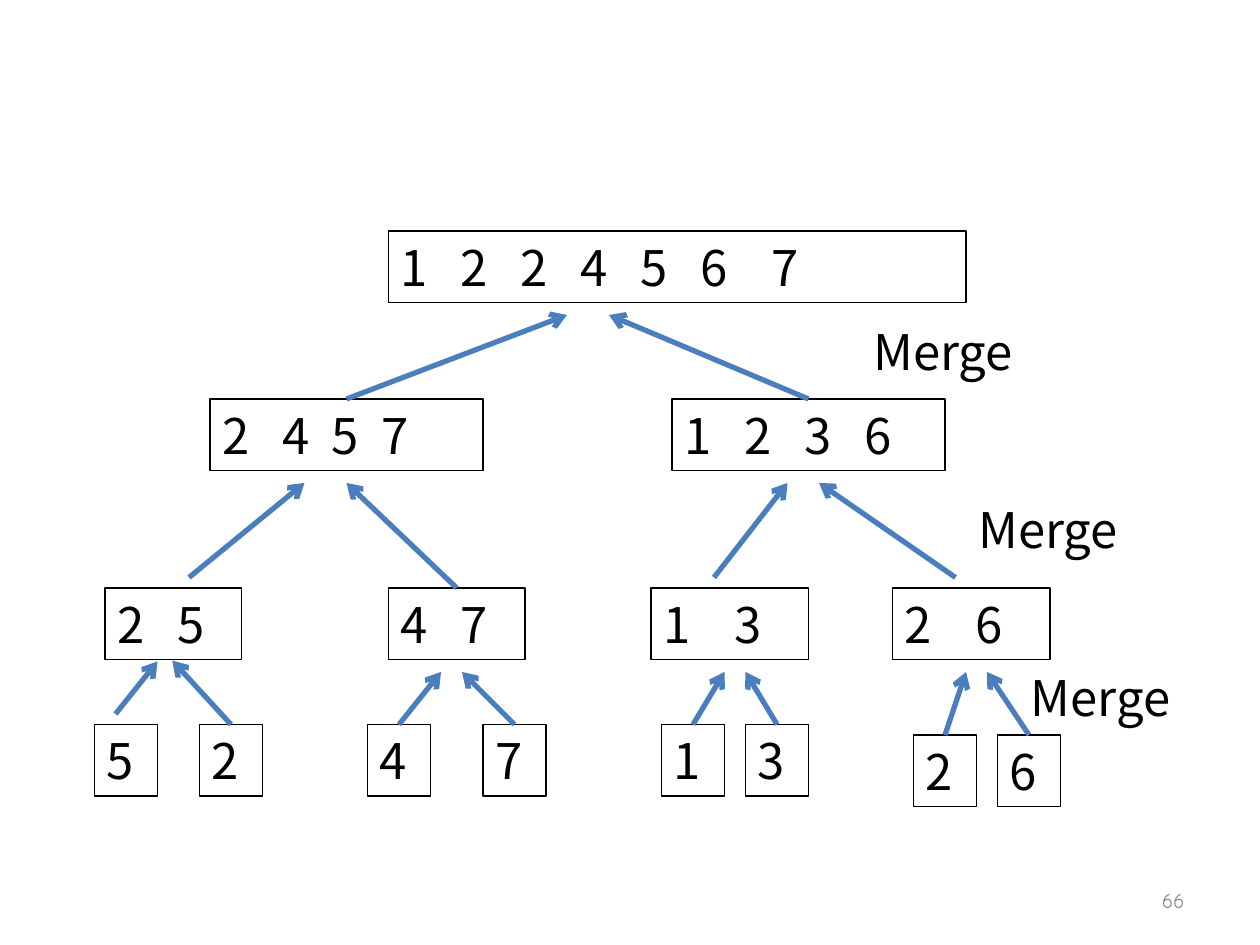
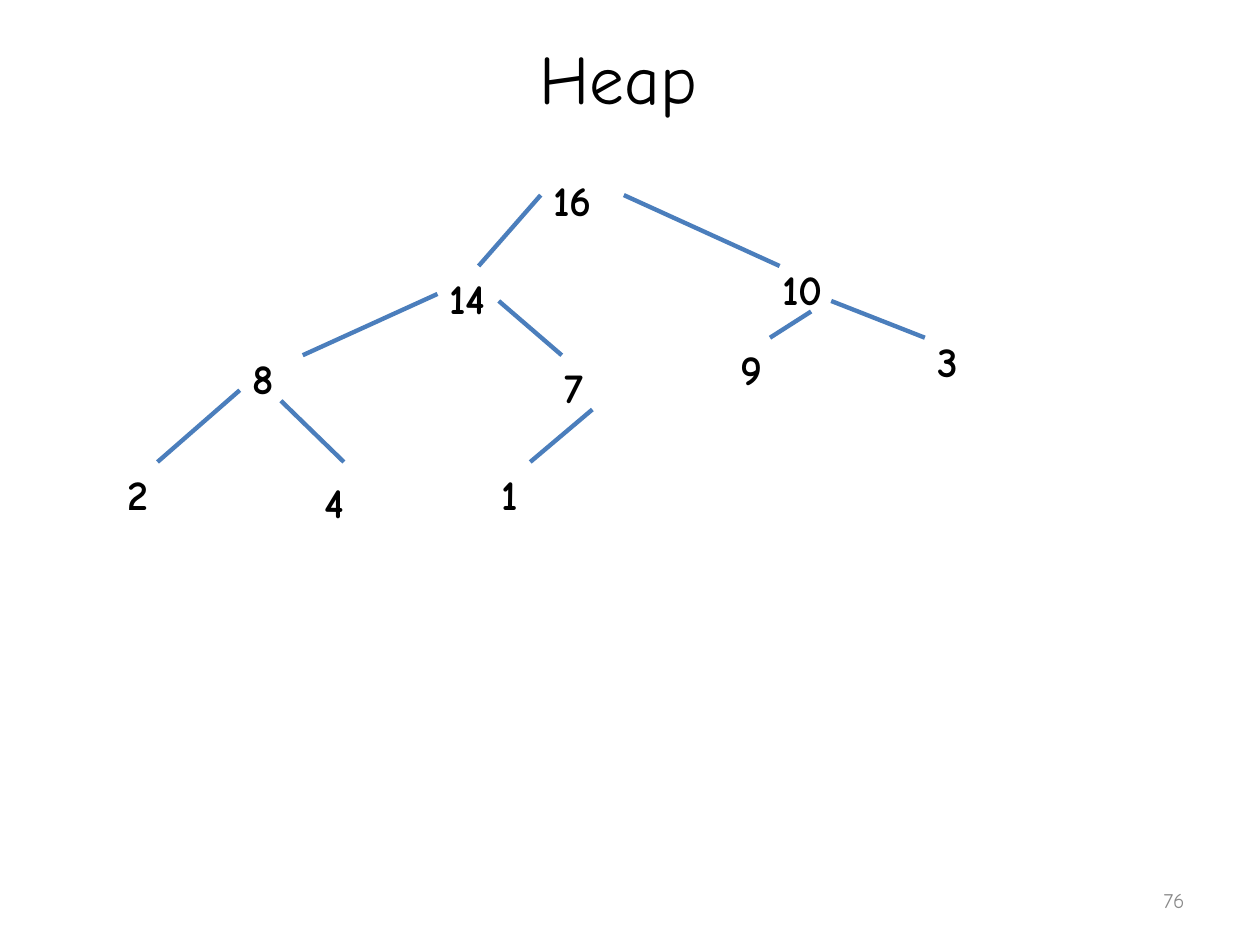
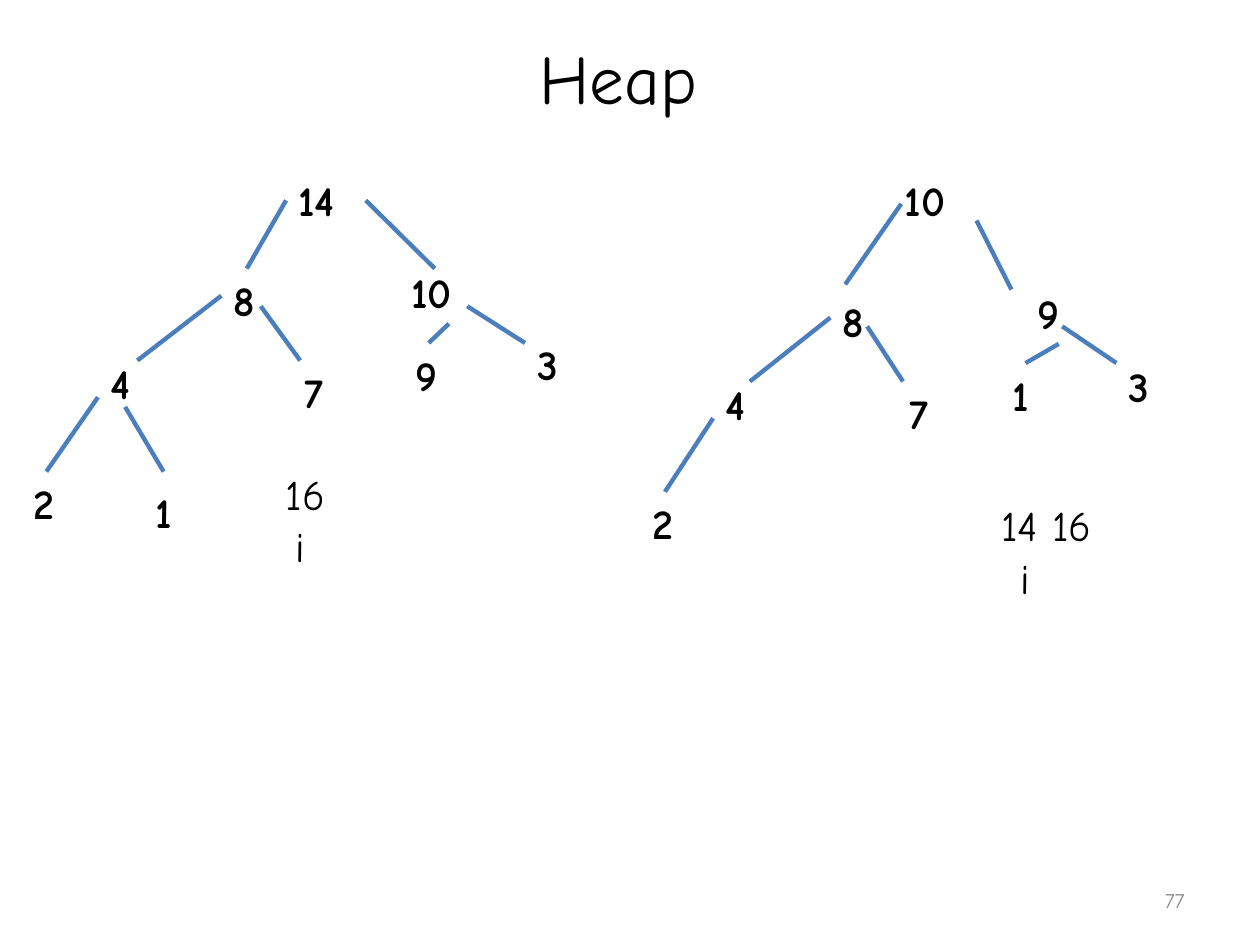
from itertools import accumulate

from lxml import etree
from pptx import Presentation
from pptx.dml.color import RGBColor
from pptx.enum.shapes import MSO_CONNECTOR, MSO_SHAPE
from pptx.enum.text import MSO_ANCHOR, PP_ALIGN
from pptx.oxml.ns import qn
from pptx.util import Pt

RECTANGLE, STRAIGHT = MSO_SHAPE.RECTANGLE, MSO_CONNECTOR.STRAIGHT
TOP, MIDDLE = MSO_ANCHOR.TOP, MSO_ANCHOR.MIDDLE
LEFT, CENTER, RIGHT = PP_ALIGN.LEFT, PP_ALIGN.CENTER, PP_ALIGN.RIGHT

BLACK = RGBColor(0x00, 0x00, 0x00)
GREY = RGBColor(0x89, 0x89, 0x89)
BLUE = RGBColor(0x4B, 0x7E, 0xBC)

COMIC, SANS = "Comic Neue", "Noto Sans CJK SC"
TITLE_FONT = {"name": COMIC, "size": Pt(39.6), "color": BLACK}
PAGE_FONT = {"name": COMIC, "size": Pt(12), "color": GREY}
MERGE_FONT = {"name": SANS, "size": Pt(28), "color": BLACK}
NODE_FONT = {"name": COMIC, "size": Pt(24), "color": BLACK, "bold": True}
LABEL_FONT = {"name": COMIC, "size": Pt(24), "color": BLACK}

TITLE_FRAME = (36, 21.5, 648, 44.5)
PAGE_FRAME = (516, 500, 168, 29)

# Merge tree: digits, left, top, width, arrow tip, arrow start if not top centre
LIST_HEIGHT = 41
SORTED_LISTS = [
    ("5", 54, 414, 36, (90, 378), (66, 408)),
    ("2", 114, 414, 36, (98.5, 377.5)),
    ("4", 210, 414, 36, (252, 384)),
    ("7", 276, 414, 36, (264, 384)),
    ("1", 378, 414, 36, (414, 384)),
    ("3", 426, 414, 36, (426, 384)),
    ("2", 522, 420, 36, (552, 384)),
    ("6", 570, 420, 36, (564, 384)),
    ("25", 60, 336, 78, (174, 276), (108, 330)),
    ("47", 222, 336, 78, (198, 276)),
    ("13", 372, 336, 90, (450, 276), (408, 330)),
    ("26", 510, 336, 90, (468, 276), (546, 330)),
    ("2457", 120, 228, 156, (324, 180)),
    ("1236", 384, 228, 156, (348, 180)),
    ("1224567", 222, 132, 330, None),
]
NORMAL_STEP, WIDE_STEP, NARROW_STEP = 34.3, 40.5, 28.2
DIGIT_STEPS = {
    "13": [WIDE_STEP],
    "26": [WIDE_STEP],
    "2457": [NORMAL_STEP, NARROW_STEP, NARROW_STEP],
    "1224567": [NORMAL_STEP] * 5 + [WIDE_STEP],
}
MERGE_LABELS = [(582, 378), (552, 282), (492, 180)]

# Heap nodes: value, left, top, link from parent (x1, y1, x2, y2), own size
FULL_HEAP = {
    "size": (47.5, 31),
    "nodes": [
        ("16", 309, 96, None),
        ("14", 250, 152, (309, 111.5, 273.5, 152)),
        ("10", 440, 147, (356.5, 111.5, 445.5, 152)),
        ("8", 137.5, 198, (250, 168, 173, 203)),
        ("7", 315.5, 203, (285, 172, 321, 203)),
        ("2", 66, 264, (137, 223, 90, 264)),
        ("4", 178.5, 269, (160.5, 229, 196.5, 264)),
        ("1", 279.5, 264, (338.5, 234, 303, 264)),
        ("9", 416, 193, (463.5, 178, 440, 193)),
        ("3", 528.5, 188, (475, 172, 528.5, 193)),
    ],
}
HEAP_WITHOUT_16 = {
    "size": (29.5, 31.5),
    "nodes": [
        ("14", 163.5, 96, None, 45.5, 36),
        ("8", 126.5, 153.5, (163.5, 114.5, 141, 153.5)),
        ("10", 228, 148.5, (209, 114.5, 248.5, 153.5), 57, 36),
        ("4", 56, 201, (126.5, 169, 78.5, 206)),
        ("7", 167, 206, (149, 175, 171.5, 206)),
        ("2", 12, 269.5, (56, 227, 26.5, 269.5)),
        ("1", 82, 274.5, (71.5, 232.5, 93.5, 269.5)),
        ("9", 230.5, 196, (256.5, 185, 245, 196)),
        ("3", 300, 190, (267, 175, 300, 196)),
    ],
}
HEAP_WITHOUT_14 = {
    "size": (28, 31.5),
    "nodes": [
        ("10", 510, 96, None, 60, 36),
        ("8", 474.5, 165.5, (515, 116.5, 483, 162.5)),
        ("9", 586, 160.5, (558, 126, 578, 165.5), 37.5, 36),
        ("4", 407.5, 213, (474.5, 181.5, 428.5, 218)),
        ("7", 512.5, 218, (495.5, 186.5, 516, 218)),
        ("2", 366, 281, (407.5, 239, 380, 281)),
        ("1", 571.5, 207.5, (605, 196.5, 586, 207.5), 28, 36),
        ("3", 638, 202.5, (607, 186.5, 638, 207.5)),
    ],
}
EXTRACTED = [
    ("16", 156, 264, 60),
    ("i", 162, 294, 24),
    ("14 16", 565, 282, 107),
    ("i", 576, 312, 24),
]
HEAP_SLIDES = [
    ("76", [FULL_HEAP], []),
    ("77", [HEAP_WITHOUT_16, HEAP_WITHOUT_14], EXTRACTED),
]


def write(shape, text, font, align=LEFT, anchor=TOP):
    frame = shape.text_frame
    frame.word_wrap = True
    frame.vertical_anchor = anchor
    paragraph = frame.paragraphs[0]
    paragraph.alignment = align
    run = paragraph.add_run()
    run.text = text
    for attribute, value in font.items():
        if attribute == "color":
            run.font.color.rgb = value
        else:
            setattr(run.font, attribute, value)
    return paragraph


def add_text(shapes, frame, text, font, align=LEFT, anchor=TOP):
    write(shapes.add_textbox(*map(Pt, frame)), text, font, align, anchor)


def add_link(shapes, points, width, arrow=False):
    link = shapes.add_connector(STRAIGHT, *map(Pt, points))
    link.line.color.rgb = BLUE
    link.line.width = Pt(width)
    properties = link._element.spPr
    if arrow:
        line = properties.find(qn("a:ln"))
        etree.SubElement(line, qn("a:tailEnd"), type="arrow")
    etree.SubElement(properties, qn("a:effectLst"))


def set_tabs(paragraph, stops):
    tabs = etree.SubElement(paragraph._p.get_or_add_pPr(), qn("a:tabLst"))
    for stop in stops:
        etree.SubElement(tabs, qn("a:tab"), pos=str(Pt(stop)), algn="l")


def add_sorted_list(shapes, digits, left, top, width):
    box = shapes.add_shape(RECTANGLE, *map(Pt, (left, top, width, LIST_HEIGHT)))
    box.shadow.inherit = False
    box.fill.background()
    box.line.color.rgb = BLACK
    box.line.width = Pt(0.75)
    paragraph = write(box, "\t".join(digits), MERGE_FONT)
    steps = DIGIT_STEPS.get(digits, [NORMAL_STEP] * (len(digits) - 1))
    if steps:
        set_tabs(paragraph, accumulate(steps))


def add_heap(slide, heap):
    shapes = slide.shapes.add_group_shape().shapes
    for value, left, top, _, *own_size in heap["nodes"]:
        add_text(shapes, (left, top, *(own_size or heap["size"])), value, NODE_FONT)
    for _, _, _, link, *_ in heap["nodes"]:
        if link:
            add_link(shapes, link, 2.5)


def add_slide(deck, page, title=None):
    slide = deck.slides.add_slide(deck.slide_layouts[6])
    if title:
        add_text(slide.shapes, TITLE_FRAME, title, TITLE_FONT, CENTER, MIDDLE)
    add_text(slide.shapes, PAGE_FRAME, page, PAGE_FONT, RIGHT, MIDDLE)
    return slide


def add_merge_slide(deck):
    shapes = add_slide(deck, "66").shapes
    for digits, left, top, width, *_ in SORTED_LISTS:
        add_sorted_list(shapes, digits, left, top, width)
    for _, left, top, width, tip, *start in SORTED_LISTS:
        if tip:
            origin = start[0] if start else (left + width / 2, top)
            add_link(shapes, (*origin, *tip), 3, arrow=True)
    for left, top in MERGE_LABELS:
        add_text(shapes, (left, top, 114, LIST_HEIGHT), "Merge", MERGE_FONT)


def main():
    deck = Presentation()
    deck.slide_width, deck.slide_height = Pt(720), Pt(540)
    add_merge_slide(deck)
    for page, heaps, labels in HEAP_SLIDES:
        slide = add_slide(deck, page, "Heap ")
        for heap in heaps:
            add_heap(slide, heap)
        for text, left, top, width in labels:
            add_text(slide.shapes, (left, top, width, 36.5), text, LABEL_FONT)
    deck.save("out.pptx")


if __name__ == "__main__":
    main()
